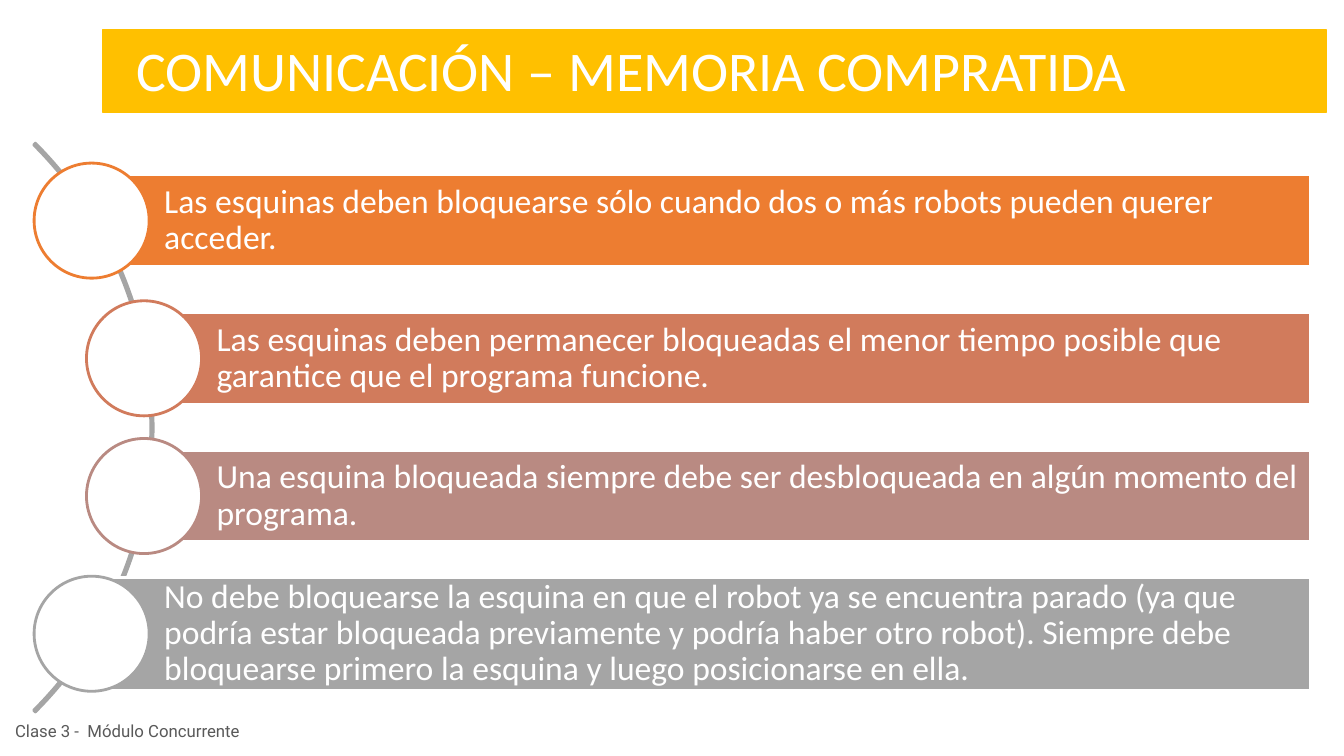
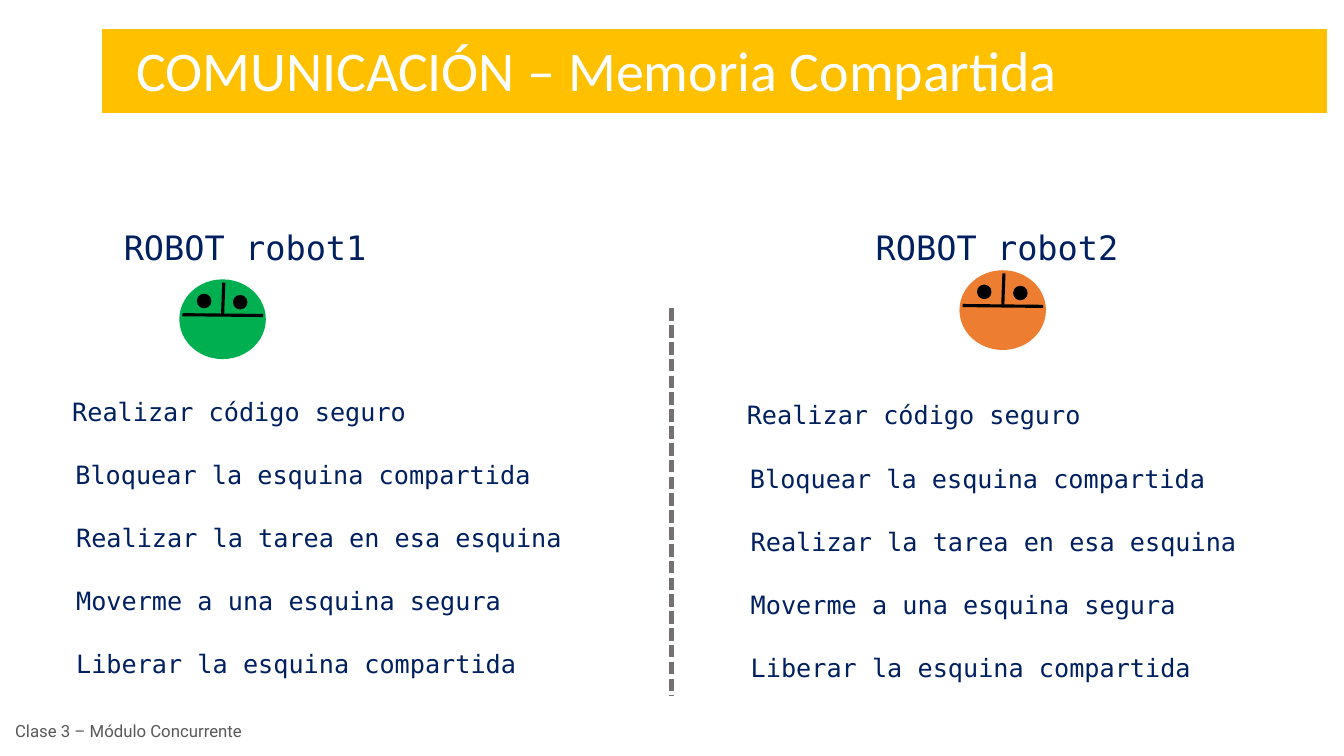
from lxml import etree
from pptx import Presentation
from pptx.dml.color import RGBColor
from pptx.enum import dml, shapes, text
from pptx.oxml import ns
from pptx.util import Cm, Pt

GOLD = RGBColor(0xFF, 0xC0, 0x00)
WHITE = RGBColor(0xFF, 0xFF, 0xFF)
BLACK = RGBColor(0x00, 0x00, 0x00)
ORANGE = RGBColor(0xED, 0x7D, 0x31)
CORAL = RGBColor(0xD1, 0x7B, 0x5C)
ROSE = RGBColor(0xB9, 0x8A, 0x82)
GRAY = RGBColor(0xA5, 0xA5, 0xA5)
SLATE = RGBColor(0x76, 0x71, 0x71)
SMOKE = RGBColor(0x59, 0x59, 0x59)
GREEN = RGBColor(0x00, 0xB0, 0x50)
NAVY = RGBColor(0x00, 0x20, 0x60)

SANS, MONO, SMALL = "Calibri", "DejaVu Sans Mono", "Roboto"
KIND = shapes.MSO_SHAPE
MIDDLE = text.MSO_ANCHOR.MIDDLE


class Deck:
    """Shared style and the current slide; all lengths are in centimetres."""

    def __init__(self):
        self.prs = Presentation()
        self.prs.slide_width, self.prs.slide_height = Cm(33.87), Cm(19.05)

    def page(self, title, foot):
        slide = self.prs.slides.add_slide(self.prs.slide_layouts[6])
        self.items = slide.shapes
        self.shape(KIND.RECTANGLE, 2.59, 0.76, 30.84, 2.06, GOLD, GOLD, 1)
        self.label(title, 3.18, 0.76, 30, 1.96, 40, WHITE, SANS)
        note = self.label(foot, 0.13, 17.91, 6.81, 1.02, 12, SMOKE, SMALL)
        note.text_frame.vertical_anchor = MIDDLE

    def shape(self, kind, x, y, w, h, fill, line=None, width=2):
        item = self.items.add_shape(kind, Cm(x), Cm(y), Cm(w), Cm(h))
        item.shadow.inherit = False
        item.fill.solid()
        item.fill.fore_color.rgb = fill
        if line is None:
            item.line.fill.background()
        else:
            item.line.color.rgb = line
            item.line.width = Pt(width)
        return item

    def words(self, item, copy, size, color, face):
        frame = item.text_frame
        frame.word_wrap = True
        frame.text = copy
        para = frame.paragraphs[0]
        para.alignment = text.PP_ALIGN.LEFT
        font = para.runs[0].font
        font.size, font.name, font.color.rgb = Pt(size), face, color
        return frame

    def label(self, copy, x, y, w, h, size, color=NAVY, face=MONO):
        item = self.items.add_textbox(Cm(x), Cm(y), Cm(w), Cm(h))
        self.words(item, copy, size, color, face)
        return item

    def line(self, x1, y1, x2, y2, color, width, dash=None):
        item = self.items.add_connector(
            shapes.MSO_CONNECTOR.STRAIGHT, Cm(x1), Cm(y1), Cm(x2), Cm(y2))
        item.line.color.rgb = color
        item.line.width = Pt(width)
        if dash is not None:
            item.line.dash_style = dash
        etree.SubElement(item._element.spPr, ns.qn("a:effectLst"))

    def arc(self, x, y, size):
        item = self.shape(KIND.BLOCK_ARC, x, y, size, size, GRAY, GRAY)
        for i, value in enumerate((189, 27, 0.003)):
            item.adjustments[i] = value

    def rule(self, copy, x, mid, h, color):
        """A bar with a ring centred on its left end."""
        bar = self.shape(KIND.RECTANGLE, x, mid - h / 2, 33.02 - x, h, color, WHITE)
        frame = self.words(bar, copy, 24, WHITE, SANS)
        frame.vertical_anchor = MIDDLE
        frame.margin_left = Cm(1.83)
        frame.margin_right = frame.margin_top = frame.margin_bottom = Cm(0.18)
        frame.paragraphs[0].line_spacing = 0.9
        self.shape(KIND.OVAL, x - 1.45, mid - 1.45, 2.9, 2.9, WHITE, color)

    def robot(self, x, y, color):
        """A grouped robot head."""
        whole = self.items
        self.items = whole.add_group_shape().shapes
        self.shape(KIND.OVAL, x, y, 2.18, 2.01, color)
        for dx, dy in ((0.46, 0.38), (1.37, 0.41)):
            self.shape(KIND.OVAL, x + dx, y + dy, 0.33, 0.33, BLACK, BLACK, 1)
        self.line(x + 1.12, y + 0.08, x + 1.09, y + 0.91, BLACK, 2.25)
        self.line(x + 2.11, y + 0.91, x + 0.08, y + 0.89, BLACK, 2.25)
        self.items = whole


# Each rule with its bar's left and height, and colour
RULES = (
    ("Las esquinas deben bloquearse sólo cuando dos o más robots pueden querer "
     "acceder.", 2.31, 2.31, ORANGE),
    ("Las esquinas deben permanecer bloqueadas el menor tiempo posible que "
     "garantice que el programa funcione.", 3.63, 2.31, CORAL),
    ("Una esquina bloqueada siempre debe ser desbloqueada en algún momento del "
     "programa.", 3.63, 2.31, ROSE),
    ("No debe bloquearse la esquina en que el robot ya se encuentra parado (ya que "
     "podría estar bloqueada previamente y podría haber otro robot). Siempre debe "
     "bloquearse primero la esquina y luego posicionarse en ella.", 2.31, 2.84, GRAY),
)
# Each step with its indent
STEPS = (
    ("Realizar código seguro", 0),
    ("Bloquear la esquina compartida", 0.08),
    ("Realizar la tarea en esa esquina", 0.1),
    ("Moverme a una esquina segura", 0.1),
    ("Liberar la esquina compartida", 0.1),
)
# Name, its left, head left and top, colour, steps left and top
ROBOTS = (
    ("ROBOT robot1", 2.87, 4.52, 7.04, GREEN, 1.57, 9.86),
    ("ROBOT robot2", 21.82, 24.18, 6.81, ORANGE, 18.57, 9.95),
)


def main():
    deck = Deck()

    # Rules along the arc
    deck.page("COMUNICACIÓN – MEMORIA COMPRATIDA", "Clase 3 -  Módulo Concurrente")
    deck.arc(-16.41, 0.64, 20.27)
    for i, (copy, x, h, color) in enumerate(RULES):
        deck.rule(copy, x, 5.56 + 3.47 * i, h, color)

    # Two robots side by side
    deck.page("COMUNICACIÓN – Memoria Compartida", "Clase 3 – Módulo Concurrente")
    deck.line(16.92, 7.77, 16.92, 17.55, SLATE, 3, dml.MSO_LINE.SQUARE_DOT)
    for name, left, x, y, color, start, top in ROBOTS:
        deck.label(name, left, 5.59, 8.13, 1.27, 24)
        deck.robot(x, y, color)
        for i, (step, dent) in enumerate(STEPS):
            deck.label(step, start + dent, top + 1.59 * i, 13.56, 1.02, 18)

    deck.prs.save("out.pptx")


if __name__ == "__main__":
    main()
